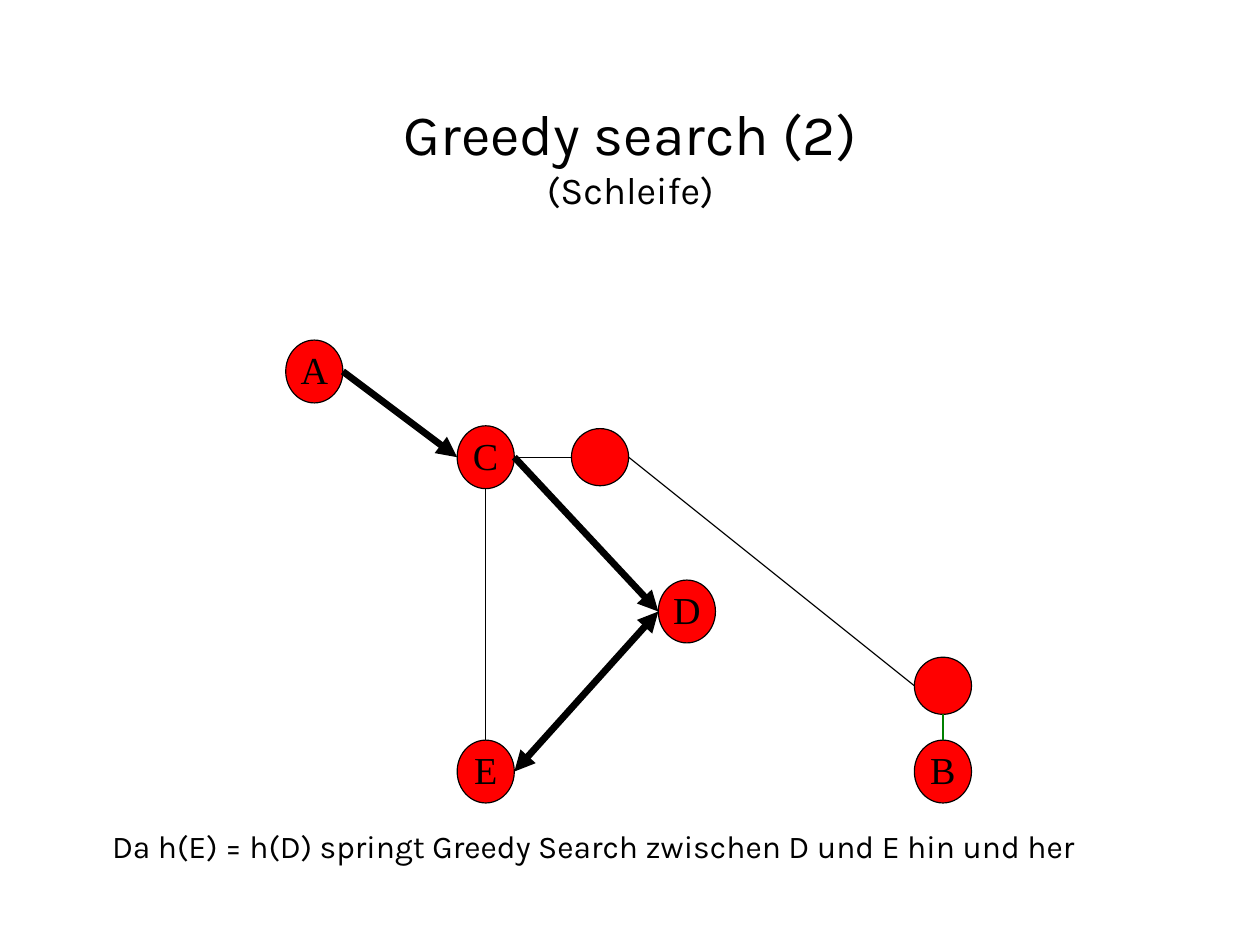
from lxml.etree import SubElement
from pptx import Presentation
from pptx.dml.color import RGBColor
from pptx.enum.shapes import MSO_CONNECTOR, MSO_SHAPE
from pptx.enum.text import MSO_ANCHOR, PP_ALIGN
from pptx.oxml.ns import qn
from pptx.util import Cm, Inches, Pt

TITLE = [("Greedy search (2)", "title"), ("(Schleife)", "subtitle")]
CAPTION = [("Da h(E) = h(D) springt Greedy Search zwischen D und E hin und her", "caption")]

# name: (centre x, centre y, label)
NODES = {
    "A": (2.75, 3.25, "A"),
    "E": (4.25, 6.75, "E"),
    "upper_b": (8.25, 6, ""),
    "C": (4.25, 4, "C"),
    "B": (8.25, 6.75, "B"),
    "D": (6.01, 5.35, "D"),
    "right_c": (5.25, 4, ""),
}
# (from node, side), (to node, side), style, arrowheads
EDGES = [
    (("A", "right"), ("C", "left"), "route", ["tailEnd"]),
    (("C", "right"), ("right_c", "left"), "plain", []),
    (("right_c", "right"), ("upper_b", "left"), "plain", []),
    (("upper_b", "bottom"), ("B", "top"), "goal", []),
    (("C", "right"), ("D", "left"), "route", ["tailEnd"]),
    (("C", "bottom"), ("E", "top"), "plain", []),
    (("D", "left"), ("E", "right"), "route", ["headEnd", "tailEnd"]),
]
SIDES = {"left": (-0.5, 0), "right": (0.5, 0), "top": (0, -0.5), "bottom": (0, 0.5)}
NODE_W, LABELLED_H, EMPTY_H = 0.5, 0.55, 0.5

BLACK = RGBColor(0, 0, 0)
THEME = {
    "node": RGBColor(0xFF, 0, 0),
    "text": BLACK,
    "fonts": {"title": ("Karla", 36), "subtitle": ("Karla", 24),
              "caption": ("Karla", 20), "label": ("Times New Roman", 24)},
    "lines": {"plain": (BLACK, 0.75), "route": (BLACK, 4.31),
              "goal": (RGBColor(0, 0x80, 0), 0.75)},
    "spacing": 0.97,
}


def set_text(sp, lines, align, anchor):
    """Write (text, type style) lines into one paragraph without margins."""
    tf = sp.text_frame
    tf.word_wrap = True
    tf.vertical_anchor = anchor
    tf.margin_left = tf.margin_right = tf.margin_top = tf.margin_bottom = 0
    p = tf.paragraphs[0]
    p.alignment, p.line_spacing = align, THEME["spacing"]
    for i, (text, style) in enumerate(lines):
        if i:
            p.add_line_break()
        r = p.add_run()
        r.text = text
        r.font.name, size = THEME["fonts"][style]
        r.font.size = Pt(size)
        r.font.color.rgb = THEME["text"]


def set_line(line, style):
    line.color.rgb, width = THEME["lines"][style]
    line.width = Pt(width)


def node_height(name):
    return LABELLED_H if NODES[name][2] else EMPTY_H


def add_node(s, name):
    x, y, label = NODES[name]
    h = node_height(name)
    sp = s.shapes.add_shape(MSO_SHAPE.OVAL, Inches(x - NODE_W / 2), Inches(y - h / 2),
                            Inches(NODE_W), Inches(h))
    sp.shadow.inherit = False
    sp.fill.solid()
    sp.fill.fore_color.rgb = THEME["node"]
    set_line(sp.line, "plain")
    if label:
        set_text(sp, [(label, "label")], PP_ALIGN.CENTER, MSO_ANCHOR.MIDDLE)


def port(name, side):
    """Point on the rim of a node where an edge meets it."""
    x, y, _ = NODES[name]
    dx, dy = SIDES[side]
    return Inches(x + dx * NODE_W), Inches(y + dy * node_height(name))


def add_edge(s, start, end, style, heads):
    sp = s.shapes.add_connector(MSO_CONNECTOR.STRAIGHT, *port(*start), *port(*end))
    set_line(sp.line, style)
    ln = sp.line._get_or_add_ln()
    for head in heads:
        SubElement(ln, qn(f"a:{head}"), type="triangle")
    SubElement(sp._element.spPr, qn("a:effectLst"))


def main():
    prs = Presentation()
    prs.slide_width, prs.slide_height = Cm(28), Cm(21)
    s = prs.slides.add_slide(prs.slide_layouts[6])

    title = s.shapes.add_textbox(Inches(0.81), Inches(0.66), Inches(9.41), Inches(1.44))
    set_text(title, TITLE, PP_ALIGN.CENTER, MSO_ANCHOR.MIDDLE)
    for name in NODES:
        add_node(s, name)
    for edge in EDGES:
        add_edge(s, *edge)
    caption = s.shapes.add_textbox(Inches(0.98), Inches(7.25), Inches(9.51), Inches(0.32))
    set_text(caption, CAPTION, PP_ALIGN.LEFT, MSO_ANCHOR.TOP)

    prs.save("out.pptx")


if __name__ == "__main__":
    main()
